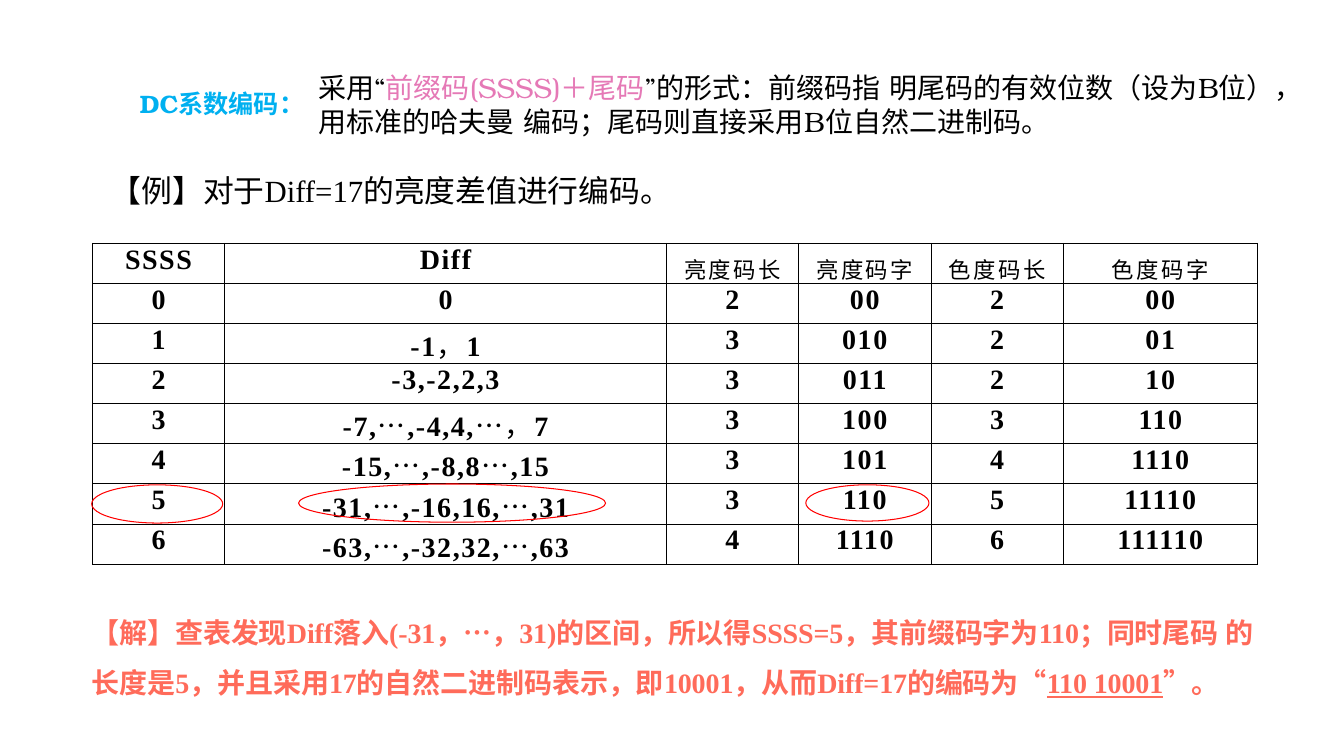
"""Build a slide on DC coefficient coding with a code table and a worked example."""
from itertools import groupby

from lxml import etree
from pptx import Presentation
from pptx.dml.color import RGBColor
from pptx.enum import shapes, text
from pptx.oxml import ns
from pptx.util import Pt

LATIN, HAN, SERIF = "Times New Roman", "Noto Sans CJK SC", "TeX Gyre Bonum"
BLACK, RED, CORAL, PINK, BLUE = "000000", "FF0000", "FF6B5A", "E579B6", "00B0F0"

COLUMN_WIDTHS = [94.5, 315.5, 94.5, 94.5, 94.5, 138.8]
CODE_ROWS = [
    ["SSSS", "Diff", "亮度码长", "亮度码字", "色度码长", "色度码字"],
    ["0", "0", "2", "00", "2", "00"],
    ["1", "-1，1", "3", "010", "2", "01"],
    ["2", "-3,-2,2,3", "3", "011", "2", "10"],
    ["3", "-7,…,-4,4,…，7", "3", "100", "3", "110"],
    ["4", "-15,…,-8,8…,15", "3", "101", "4", "1110"],
    ["5", "-31,…,-16,16,…,31", "3", "110", "5", "11110"],
    ["6", "-63,…,-32,32,…,63", "4", "1110", "6", "111110"],
]
MARKS = [(213.3, 345.7, 219.3, 27.3), (65.5, 346.3, 93.6, 27.3), (575.6, 346.3, 88, 25.9)]


def color(value):
    return RGBColor.from_string(value)


def split(words, **han_style):
    """Divide words into Latin and Han pieces, each with its face."""
    pieces = []
    for latin, letters in groupby(words, str.isascii):
        style = {"face": LATIN} if latin else {"face": HAN, **han_style}
        pieces.append(("".join(letters), style))
    return pieces


class Slide:
    """Hold the page and the shared style, and add elements to it."""

    def __init__(self, deck):
        self.page = deck.slides.add_slide(deck.slide_layouts[6])
        self.border_width = 0.5
        self.mark_width = 0.75

    def style(self, font, face=None, size=None, ink=None, bold=None, spacing=None, underline=None):
        if size:
            font.size = Pt(size)
        if bold is not None:
            font.bold = bold
        if underline:
            font.underline = True
        if ink:
            font.color.rgb = color(ink)
        if spacing:
            font._rPr.set("spc", str(round(spacing * 100)))
        if face:
            font.name = face
            etree.SubElement(font._rPr, ns.qn("a:ea"), typeface=face)

    def add_spans(self, para, pieces, **shared):
        if len(pieces) == 1:
            shared = {**shared, **pieces[0][1]}
        self.style(para.font, **shared)
        for words, own in pieces:
            span = para.add_run()
            span.text = words
            if len(pieces) > 1:
                self.style(span.font, **own)

    def text_box(self, place, pieces, margin=None, line_spacing=None, **shared):
        box = self.page.shapes.add_textbox(*map(Pt, place))
        frame = box.text_frame
        frame.word_wrap = True
        frame.auto_size = text.MSO_AUTO_SIZE.SHAPE_TO_FIT_TEXT
        if margin is not None:
            frame.margin_left = frame.margin_right = Pt(margin)
            frame.margin_top = frame.margin_bottom = Pt(margin)
        para = frame.paragraphs[0]
        if line_spacing:
            para.line_spacing = line_spacing
        self.add_spans(para, pieces, **shared)

    def border(self, cell):
        properties = cell._tc.get_or_add_tcPr()
        for position, side in enumerate(("a:lnL", "a:lnR", "a:lnT", "a:lnB")):
            line = etree.Element(ns.qn(side), w=str(Pt(self.border_width)))
            fill = etree.SubElement(line, ns.qn("a:solidFill"))
            etree.SubElement(fill, ns.qn("a:srgbClr"), val=BLACK)
            properties.insert(position, line)

    def cell(self, cell, words):
        cell.margin_left = cell.margin_right = cell.margin_bottom = 0
        han_only = not any(map(str.isascii, words))
        cell.margin_top = Pt(7 if han_only else 0.5)
        cell.fill.background()
        self.border(cell)
        para = cell.text_frame.paragraphs[0]
        para.alignment = text.PP_ALIGN.CENTER
        if han_only:
            shared = {"size": 16, "bold": False, "spacing": 1.8}
        else:
            shared = {"size": 20, "bold": True, "spacing": 1.1 if len(words) > 1 else None}
        pieces = split(words) if han_only else split(words, bold=False)
        self.add_spans(para, pieces, ink=BLACK, **shared)

    def table(self, left, top, row_height, widths, rows):
        height = row_height * len(rows)
        frame = self.page.shapes.add_table(
            len(rows), len(widths), Pt(left), Pt(top), Pt(sum(widths)), Pt(height))
        table = frame.table
        table.first_row = table.horz_banding = False
        for column, width in zip(table.columns, widths):
            column.width = Pt(width)
        for row, values in zip(table.rows, rows):
            row.height = Pt(row_height)
            for cell, words in zip(row.cells, values):
                self.cell(cell, words)

    def mark(self, place):
        oval = self.page.shapes.add_shape(shapes.MSO_SHAPE.OVAL, *map(Pt, place))
        oval.shadow.inherit = False
        oval.fill.background()
        oval.line.color.rgb = color(RED)
        oval.line.width = Pt(self.mark_width)


def main():
    deck = Presentation()
    deck.slide_width, deck.slide_height = Pt(960), Pt(540)
    slide = Slide(deck)

    slide.text_box((92.9, 59.8, 182.9, 28.8), [("DC系数编码：", {})],
                   face=SERIF, size=18, ink=BLUE, bold=True)
    slide.text_box((79.2, 122.4, 403.2, 27.4), split("【例】对于Diff=17的亮度差值进行编码。"),
                   margin=0, size=22, ink=BLACK)
    slide.table(66, 173.8, 28.65, COLUMN_WIDTHS, CODE_ROWS)
    for place in MARKS:
        slide.mark(place)

    solution = split("【解】查表发现Diff落入(-31，…，31)的区间，所以得SSSS=5，其前缀码字为110；"
                     "同时尾码 的长度是5，并且采用17的自然二进制码表示，即10001，"
                     "从而Diff=17的编码为“")
    code = [("110 10001", {"face": LATIN, "underline": True})]
    slide.text_box((58.3, 424.1, 853.2, 75.6), solution + code + split("”。"),
                   line_spacing=1.5, size=20, ink=CORAL, bold=True, spacing=-0.1)

    method = [
        ("采用“", {"ink": BLACK}),
        ("前缀码(SSSS)＋尾码", {"ink": PINK}),
        ("”的形式：前缀码指 明尾码的有效位数（设为B位），用标准的哈夫曼 编码；"
         "尾码则直接采用B位自然二进制码。", {"ink": BLACK}),
    ]
    slide.text_box((220.3, 46.8, 710.6, 55.4), method, face=SERIF, size=20)
    deck.save("out.pptx")


if __name__ == "__main__":
    main()
